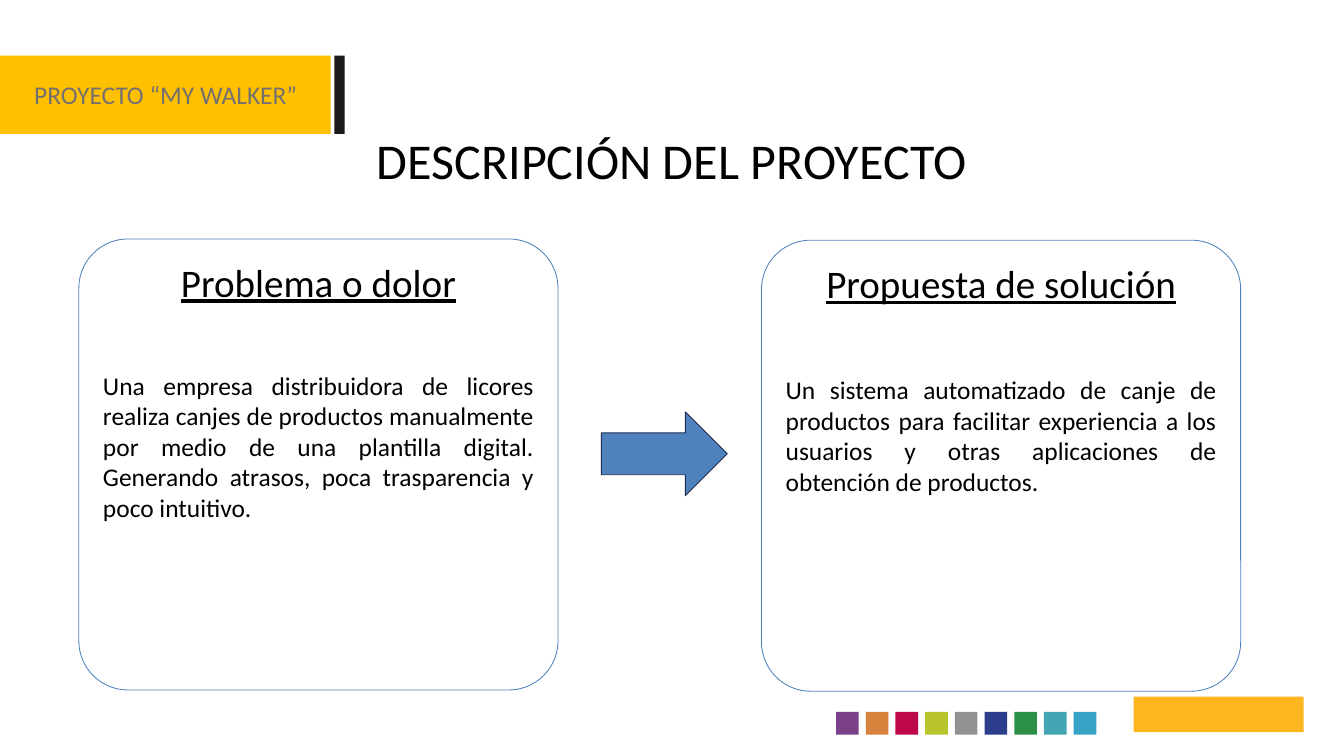
import dataclasses

import pptx
import pptx.dml.color
import pptx.enum.shapes
import pptx.enum.text
import pptx.util

Inches = pptx.util.Inches
Pt = pptx.util.Pt
ALIGN = pptx.enum.text.PP_ALIGN
ANCHOR = pptx.enum.text.MSO_ANCHOR
SHAPE = pptx.enum.shapes.MSO_SHAPE


@dataclasses.dataclass(frozen=True)
class Theme:
    font: str = "Calibri"
    title_size: int = 59
    heading_size: int = 46
    body_size: int = 30
    text: str = "000000"
    tag_text: str = "757070"
    tag_fill: str = "FFC000"
    tag_bar: str = "1A1A1A"
    card_fill: str = "FFFFFF"
    accent: str = "4F81BD"
    arrow_line: str = "1C3052"
    logo: str = "FEB620"
    squares: tuple = ("7B408A", "D6843D", "BD0949", "BAC52E", "929292",
                      "2C3E8B", "2C9146", "44A6B5", "35A4C5")


theme = Theme()

presentation = pptx.Presentation()
presentation.slide_width = Inches(21.99)
presentation.slide_height = Inches(12.37)
slide = presentation.slides.add_slide(presentation.slide_layouts[5])


def add_shape(kind, left, top, width, height, fill, line=None):
    shape = slide.shapes.add_shape(
        kind, Inches(left), Inches(top), Inches(width), Inches(height))
    shape.shadow.inherit = False
    shape.fill.solid()
    shape.fill.fore_color.rgb = pptx.dml.color.RGBColor.from_string(fill)
    if line:
        shape.line.color.rgb = pptx.dml.color.RGBColor.from_string(line)
        shape.line.width = Pt(1)
    else:
        shape.line.fill.background()
    return shape


def write_text(shape, paragraphs, anchor=ANCHOR.TOP, left_inset=0.16):
    """Fill a shape with (text, size, color, alignment, space before)."""
    frame = shape.text_frame
    frame.word_wrap = True
    frame.auto_size = pptx.enum.text.MSO_AUTO_SIZE.NONE
    frame.vertical_anchor = anchor
    frame.margin_left, frame.margin_right = Inches(left_inset), Inches(0.16)
    frame.margin_top = frame.margin_bottom = Inches(0.08)
    for index, (text, size, color, alignment, space) in enumerate(paragraphs):
        paragraph = frame.add_paragraph() if index else frame.paragraphs[0]
        paragraph.text = text
        paragraph.alignment = alignment
        if space:
            paragraph.space_before = Pt(space)
        paragraph.font.name = theme.font
        paragraph.font.size = Pt(size)
        paragraph.font.color.rgb = pptx.dml.color.RGBColor.from_string(color)


# Project tag
tag = add_shape(SHAPE.RECTANGLE, 0, 0.91, 5.41, 1.28, theme.tag_fill)
write_text(tag, [("PROYECTO “MY WALKER”", theme.body_size, theme.tag_text,
                  ALIGN.LEFT, 0)], ANCHOR.MIDDLE, 0.56)
add_shape(SHAPE.RECTANGLE, 5.47, 0.91, 0.17, 1.28, theme.tag_bar)

# Logo placeholder and color squares
add_shape(SHAPE.RECTANGLE, 18.55, 11.4, 2.78, 0.58, theme.logo)
for index, color in enumerate(theme.squares):
    add_shape(SHAPE.RECTANGLE, 13.68 + index * 0.486, 11.65, 0.37, 0.37, color)

# Title
title = slide.shapes.title
title.left, title.top = Inches(0), Inches(2.04)
title.width, title.height = Inches(21.99), Inches(1.16)
write_text(title, [("DESCRIPCIÓN DEL PROYECTO", theme.title_size, theme.text,
                    ALIGN.CENTER, 0)])

# Problem and solution cards
cards = [
    (1.29, 3.91, "Problema o dolor", 76,
     "Una empresa distribuidora de licores realiza canjes de productos "
     "manualmente por medio de una plantilla digital. Generando atrasos, "
     "poca trasparencia y poco intuitivo."),
    (12.46, 3.93, "Propuesta de solución", 80,
     "Un sistema automatizado de canje de productos para facilitar "
     "experiencia a los usuarios y otras aplicaciones de obtención de "
     "productos."),
]
for left, top, heading, gap, body in cards:
    card = add_shape(SHAPE.ROUNDED_RECTANGLE, left, top, 7.84, 7.38,
                     theme.card_fill, theme.accent)
    card.adjustments[0] = 0.109
    write_text(card, [
        (heading, theme.heading_size, theme.text, ALIGN.CENTER, 0),
        (body, theme.body_size, theme.text, ALIGN.JUSTIFY, gap)])
    card.text_frame.paragraphs[0].font.underline = True

# Arrow from problem to solution
add_shape(SHAPE.RIGHT_ARROW, 9.84, 6.74, 2.06, 1.37,
          theme.accent, theme.arrow_line)

presentation.save("out.pptx")
